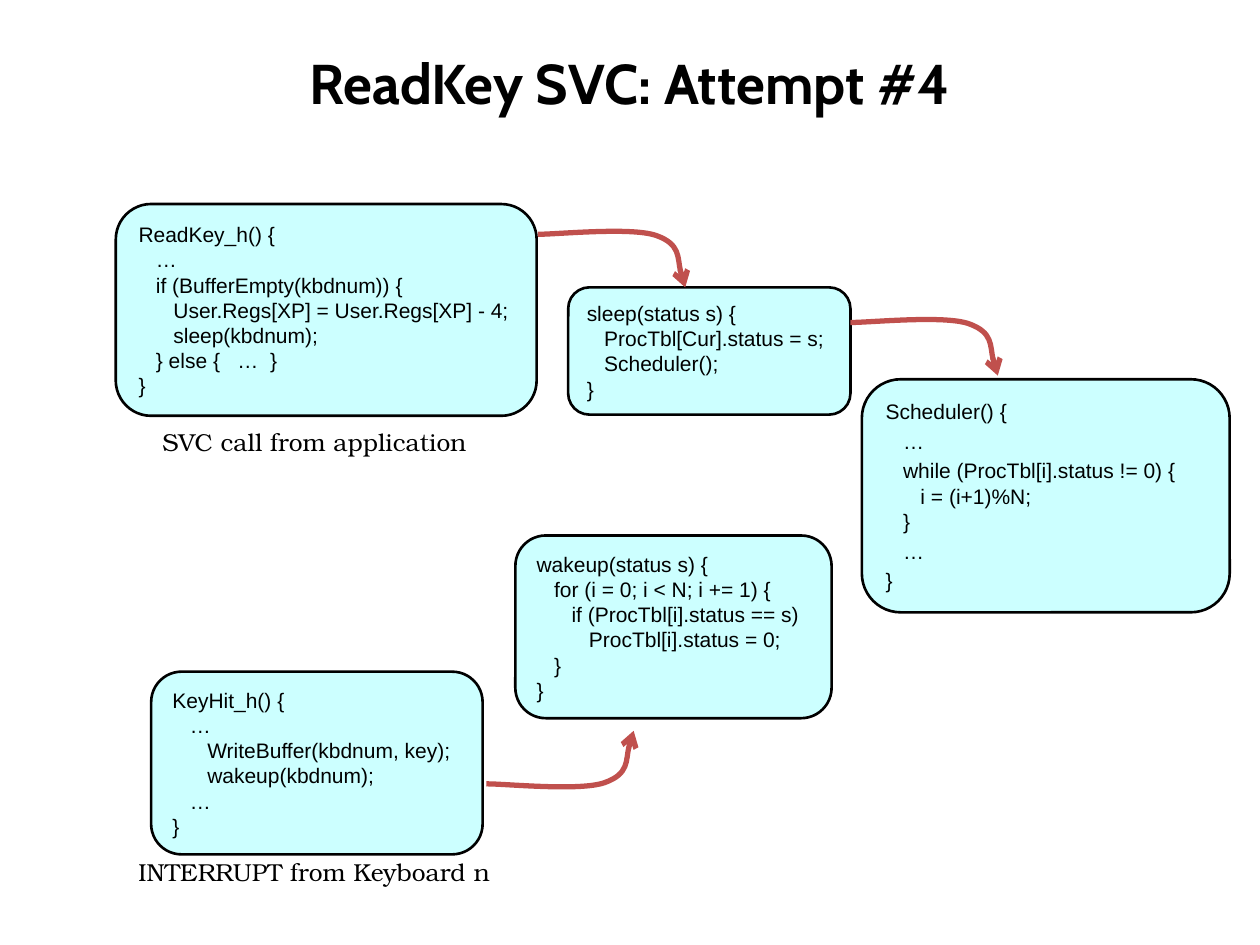
from lxml.etree import SubElement
from pptx import Presentation
from pptx.dml.color import RGBColor
from pptx.enum.shapes import MSO_SHAPE as Shape
from pptx.enum.text import MSO_ANCHOR as Anchor, PP_ALIGN as Align
from pptx.oxml.ns import qn
from pptx.util import Pt

BLACK = RGBColor(0x00, 0x00, 0x00)
AQUA = RGBColor(0xCC, 0xFF, 0xFF)
BRICK = RGBColor(0xC0, 0x50, 0x4D)

TITLE = ("ReadKey SVC: Attempt #4", (36, 21.6, 648, 50.4))

CAPTIONS = [
    ("SVC call from application", (85.7, 240.5, 190.8, 24.5)),
    ("INTERRUPT from Keyboard n", (72, 486, 217.4, 24.5)),
]

ROUTINES = [
    ((66.2, 116.6, 240.5, 121), ["""ReadKey_h() {
   …
   if (BufferEmpty(kbdnum)) {
      User.Regs[XP] = User.Regs[XP] - 4;
      sleep(kbdnum);
   } else {   …  }
}"""]),
    ((324.7, 164.2, 161.3, 72.7), ["""sleep(status s) {
   ProcTbl[Cur].status = s;
   Scheduler();
}"""]),
    ((492.5, 216.7, 210.2, 133.2), [
        "Scheduler() {",
        "   …",
        """   while (ProcTbl[i].status != 0) {
      i = (i+1)%N;
   }""",
        "   …",
        "}",
    ]),
    ((294.5, 306, 180.7, 104.4), ["""wakeup(status s) {
   for (i = 0; i < N; i += 1) {
      if (ProcTbl[i].status == s)
         ProcTbl[i].status = 0;
   }
}"""]),
    ((86.4, 383.8, 189.4, 104.4), ["""KeyHit_h() {
   …
      WriteBuffer(kbdnum, key);
      wakeup(kbdnum);
   …
}"""]),
]
STEP_GAP = 2.6

CALL_CURVE = [(0, 4.3), (11.4, 4.3), (53.7, 0), (67.7, 5),
              (81.7, 10), (80.6, 28), (84.2, 34.6)]
CURVE_HEIGHT = 34.6
CALLS = [(307.4, 129.6, False), (486, 180, False), (277.9, 417.6, True)]


def write(shape, steps, *, font, size, bold=False, align=Align.LEFT,
          anchor=Anchor.TOP, wrap=True, gap=0):
    frame = shape.text_frame
    frame.word_wrap = wrap
    frame.vertical_anchor = anchor
    lines = [(line, gap if step and not row else 0)
             for step, text in enumerate(steps)
             for row, line in enumerate(text.split("\n"))]
    for index, (line, before) in enumerate(lines):
        paragraph = frame.add_paragraph() if index else frame.paragraphs[0]
        paragraph.alignment = align
        paragraph.space_before = Pt(before)
        run = paragraph.add_run()
        run.text = line
        run.font.name = font
        run.font.size = Pt(size)
        run.font.bold = bold
        run.font.color.rgb = BLACK


def add_routine(shapes, place, steps):
    routine = shapes.add_shape(Shape.ROUNDED_RECTANGLE, *map(Pt, place))
    routine.shadow.inherit = False
    routine.fill.solid()
    routine.fill.fore_color.rgb = AQUA
    routine.line.color.rgb = BLACK
    routine.line.width = Pt(1.5)
    write(routine, steps, font="Arial", size=12, anchor=Anchor.MIDDLE, gap=STEP_GAP)


def add_call(shapes, left, top, upward):
    points = [(Pt(left + x), Pt(top + (CURVE_HEIGHT - y if upward else y)))
              for x, y in CALL_CURVE]
    builder = shapes.build_freeform(*points[0])
    builder.add_line_segments(points[1:], close=False)
    call = builder.convert_to_shape()
    call.shadow.inherit = False
    call.fill.background()
    call.line.color.rgb = BRICK
    call.line.width = Pt(3)
    segments = list(call.element.iter(qn("a:lnTo")))
    for start in range(0, len(segments), 3):
        curve = SubElement(segments[start].getparent(), qn("a:cubicBezTo"))
        for segment in segments[start:start + 3]:
            curve.append(segment[0])
            segment.getparent().remove(segment)
    SubElement(call.line._get_or_add_ln(), qn("a:tailEnd"), type="arrow")


def main():
    deck = Presentation()
    deck.slide_width, deck.slide_height = Pt(720), Pt(540)
    shapes = deck.slides.add_slide(deck.slide_layouts[6]).shapes
    for place, steps in ROUTINES:
        add_routine(shapes, place, steps)
    for call in CALLS:
        add_call(shapes, *call)
    for caption, place in CAPTIONS:
        write(shapes.add_textbox(*map(Pt, place)), [caption],
              font="TeX Gyre Bonum", size=14, wrap=False)
    title, place = TITLE
    write(shapes.add_textbox(*map(Pt, place)), [title], font="Cabin", size=32,
          bold=True, align=Align.CENTER, anchor=Anchor.MIDDLE)
    deck.save("out.pptx")


if __name__ == "__main__":
    main()
